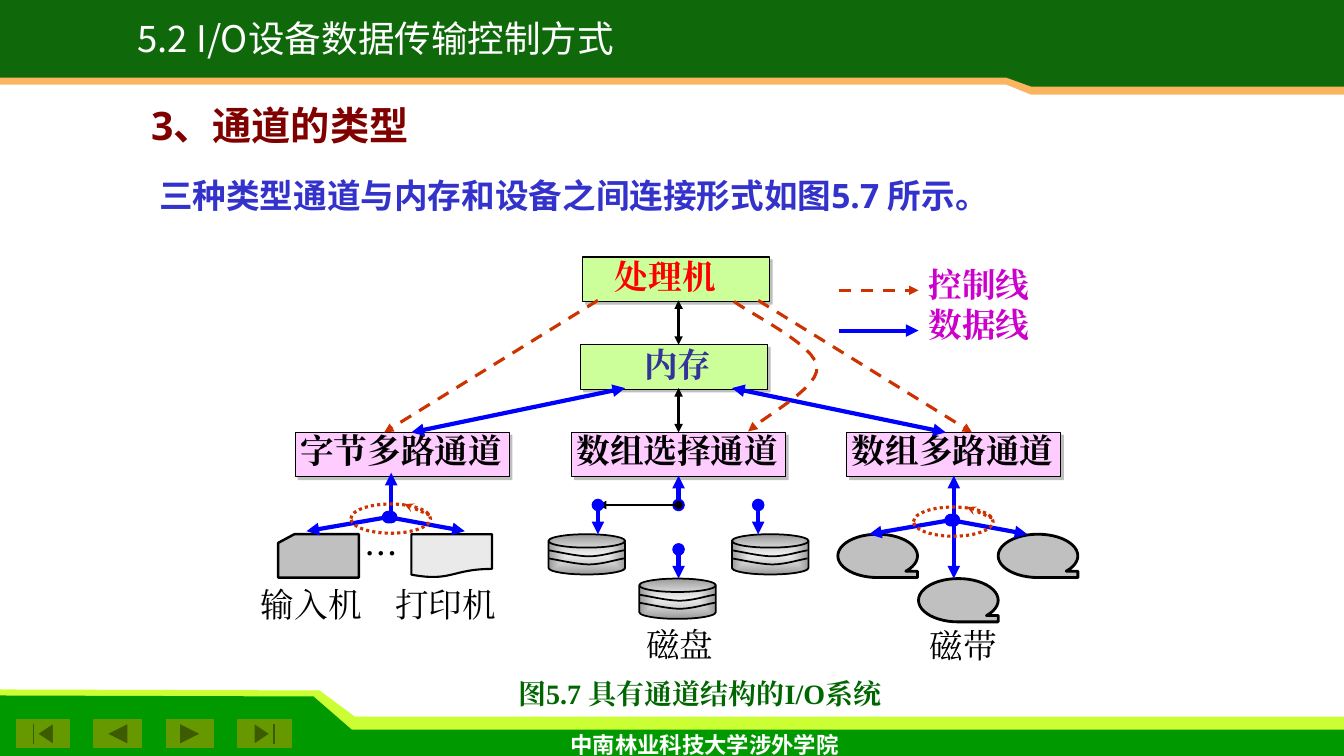
import pptx
import pptx.dml.color
import pptx.enum.dml
import pptx.enum.shapes
import pptx.enum.text
import pptx.oxml
import pptx.util

MSO = pptx.enum.shapes.MSO_SHAPE
ALIGN = pptx.enum.text.PP_ALIGN
ANCHOR = pptx.enum.text.MSO_ANCHOR
DASH = pptx.enum.dml.MSO_LINE
NS = 'xmlns:a="http://schemas.openxmlformats.org/drawingml/2006/main"'
SERIF, SANS, CJK = "Times New Roman", "Open Sans", "Noto Sans CJK SC"
BLACK, BLUE, RUST, GRAY = "000000", "0000FF", "CC3300", "C0C0C0"
SHADOW = (f'<a:outerShdw {NS} dist="35560" dir="2700000"><a:srgbClr val="808080">'
          '<a:alpha val="50000"/></a:srgbClr></a:outerShdw>')
METAL = (f'<a:gradFill {NS}><a:gsLst><a:gs pos="0"><a:srgbClr val="EAEAEA">'
         '<a:alpha val="70000"/></a:srgbClr></a:gs><a:gs pos="100000">'
         '<a:srgbClr val="969696"/></a:gs></a:gsLst><a:path path="shape">'
         '<a:fillToRect l="50000" t="50000" r="50000" b="50000"/></a:path></a:gradFill>')


def cells(n):
    return pptx.util.Inches(n / 10)


def color(value):
    return pptx.dml.color.RGBColor.from_string(value)


def bezier(points, steps=12):
    curve = [points[0]]
    for i in range(0, len(points) - 1, 3):
        for k in range(1, steps + 1):
            t = k / steps
            weights = (1 - t) ** 3, 3 * t * (1 - t) ** 2, 3 * t * t * (1 - t), t ** 3
            curve.append(tuple(sum(w * q[axis] for w, q in zip(weights, points[i:i + 4]))
                               for axis in (0, 1)))
    return curve


class Board:
    """Draws styled elements on one slide, on a grid of 0.1 inch columns and rows."""

    def __init__(self, prs):
        self.slide = prs.slides.add_slide(prs.slide_layouts[5])
        self.shapes = self.slide.shapes

    def stroke(self, sp, hue, width, dash=None, head=None, tail=None):
        sp.line.color.rgb = color(hue)
        sp.line.width = pptx.util.Pt(width)
        if dash:
            sp.line.dash_style = dash
        for tag, end in (("headEnd", head), ("tailEnd", tail)):
            if end:
                sp.line._get_or_add_ln().append(
                    pptx.oxml.parse_xml(f'<a:{tag} {NS} type="{end}"/>'))

    def paint(self, sp, fill, line):
        sp.shadow.inherit = False
        if fill:
            sp.fill.solid()
            sp.fill.fore_color.rgb = color(fill)
        else:
            sp.fill.background()
        if line:
            self.stroke(sp, *line)
        else:
            sp.line.fill.background()
        return sp

    def shape(self, kind, x, y, w, h, fill=None, line=None):
        return self.paint(self.shapes.add_shape(kind, *map(cells, (x, y, w, h))), fill, line)

    def box(self, x, y, w, fill):
        sp = self.shape(MSO.RECTANGLE, x, y, w, 4.4, fill, (BLACK, 0.75))
        sp._element.spPr.find(pptx.oxml.ns.qn("a:effectLst")).append(
            pptx.oxml.parse_xml(SHADOW))

    def outline(self, points, fill=None, line=None):
        points = [(cells(x), cells(y)) for x, y in points]
        fb = self.shapes.build_freeform(*points[0], scale=1.0)
        fb.add_line_segments(points[1:], close=fill is not None)
        return self.paint(fb.convert_to_shape(), fill, line)

    def line(self, start, end, hue=BLUE, width=3, dash=None, head=None, tail="triangle"):
        sp = self.shapes.add_connector(pptx.enum.shapes.MSO_CONNECTOR.STRAIGHT,
                                       *map(cells, (*start, *end)))
        self.stroke(sp, hue, width, dash, head, tail)
        sp._element.spPr.append(pptx.oxml.parse_xml(f"<a:effectLst {NS}/>"))

    def disk(self, x, y):
        sp = self.shape(MSO.FLOWCHART_MAGNETIC_DISK, x, y, 7.6, 4, "EAEAEA", (BLACK, 1.25))
        fill = sp._element.spPr.find(pptx.oxml.ns.qn("a:solidFill"))
        fill.getparent().replace(fill, pptx.oxml.parse_xml(METAL))
        for drop in (1.6, 2.4):
            wave = ((0, 0), (0.7, 0.1), (2.8, 0.6), (4, 0.6), (5.3, 0.6), (6.8, 0.1), (7.5, 0))
            self.outline(bezier([(x + dx, y + drop + dy) for dx, dy in wave]),
                         line=(BLACK, 1.25))

    def fan(self, x, y):
        for start, end in (((0.3, 0), (0.3, -4.4)), ((0, 0), (-8.1, 1.4)), ((0, 0), (7.6, 1.4))):
            self.line((x + start[0], y + start[1]), (x + end[0], y + end[1]), head="oval")
        self.shape(MSO.OVAL, x - 3.7, y - 1.3, 7.9, 2.9, line=(RUST, 2.25, DASH.ROUND_DOT))
        self.line((x + 4.1, y - 0.2), (x + 1.6, y - 1.3), RUST, 2.25, DASH.ROUND_DOT,
                  tail="stealth")

    def text(self, lines, x, y, w, h, size=24, hue=BLACK, font=SERIF, bold=False,
             align=ALIGN.LEFT, spacing=None, wrap=True, anchor=ANCHOR.TOP, sp=None):
        sp = sp or self.shapes.add_textbox(0, 0, 0, 0)
        sp.left, sp.top, sp.width, sp.height = map(cells, (x, y, w, h))
        tf = sp.text_frame
        tf.text = lines
        tf.word_wrap = wrap
        tf.auto_size = pptx.enum.text.MSO_AUTO_SIZE.NONE
        tf.vertical_anchor = anchor
        for p in tf.paragraphs:
            p.alignment = align
            if spacing:
                p.line_spacing = spacing
            p.font.size = pptx.util.Pt(size)
            p.font.bold = bold
            p.font.color.rgb = color(hue)
            p.font.name = font
            p.font._rPr.append(pptx.oxml.parse_xml(f'<a:ea {NS} typeface="{font}"/>'))

    def title(self, words, *place, **style):
        sp = self.shapes.title
        self.shapes._spTree.append(sp._element)
        self.text(words, *place, sp=sp, **style)


prs = pptx.Presentation()
prs.slide_width, prs.slide_height = cells(133.3), cells(75)
board = Board(prs)

board.outline([(0, 74), (133.3, 74), (133.3, 71.1), (35.2, 71.1), (31.7, 68.5), (0, 68.4)],
              "CCFF33")
board.outline([(0, 75), (133.3, 75), (133.3, 72.4), (34.9, 72.4), (31.1, 69.1), (0, 69)],
              "009900")
for kind, x, w in ((MSO.ACTION_BUTTON_BEGINNING, 1.6, 5.3),
                   (MSO.ACTION_BUTTON_BACK_OR_PREVIOUS, 9.3, 4.7),
                   (MSO.ACTION_BUTTON_FORWARD_OR_NEXT, 16.5, 4.7),
                   (MSO.ACTION_BUTTON_END, 23.6, 5.3)):
    board.shape(kind, x, 71.4, w, 2.8, "669900", ("669900", 0.75))
for left, right, hue in ((8.4, 9.4, "FBB561"), (7.7, 8.6, "0F690B")):
    board.outline([(133.3, 0), (0, 0), (0, left), (99.8, left), (102.3, right), (133.3, right)],
                  hue)
board.title("5.2 I/O设备数据传输控制方式 ", 5.4, 1.9, 64.6, 4.6, size=26.1, hue="FFFFFF",
            font=CJK, align=ALIGN.CENTER, spacing=0.8, wrap=False, anchor=ANCHOR.MIDDLE)
board.text("中南林业科技大学涉外学院", 55.6, 72, 29.2, 3.7, 16, "FFFFFF", SANS, True, wrap=False)
board.text("3、通道的类型", 14, 9.6, 48.8, 6.4, 28, "800000", SANS, True)
board.text("三种类型通道与内存和设备之间连接形式如图5.7 所示。", 14.8, 15.3, 87.4, 6.6, 24,
           "3333CC", SANS, True, spacing=1.4)
board.text("图5.7 具有通道结构的I/O系统", 43, 66.6, 52.8, 5.5, 20, "006600", bold=True,
           align=ALIGN.CENTER)

for x, y in ((54.4, 53), (72.6, 53), (63.4, 57.4)):
    board.disk(x, y)
for x, y in ((83.1, 53), (99, 53), (91.1, 57.4)):
    board.shape(MSO.FLOWCHART_SEQUENTIAL_ACCESS_STORAGE, x, y, 7.9, 4.3, GRAY, (BLACK, 2))
board.shape(MSO.FLOWCHART_CARD, 27.6, 53, 8, 4.3, GRAY, (BLACK, 1.75))
board.shape(MSO.FLOWCHART_DOCUMENT, 40.8, 53, 8, 4.3, "EAEAEA", (BLACK, 1.5))

for name, x, y, hue, text_x in (("处理机", 57.8, 25.5, "FF0000", 60),
                                ("内存", 57.6, 34.2, "333399", 62.9)):
    board.box(x, y, 18.5, "CCFF99")
    board.text(name, text_x, y - 0.6, 15.9, 4.3, hue=hue, bold=True)
for name, x in (("字节多路通道", 29.3), ("数组选择通道", 56.7), ("数组多路通道", 84)):
    board.box(x, 42.9, 21.2, "FFCCFF")
    board.text(name, x - 0.5, 42.2, 23.8, 4.3, bold=True)
for name, x, y in (("输入机", 24.9, 57.4), ("打印机", 38.2, 57.4),
                   ("磁盘", 63.1, 61.4), ("磁带", 91.2, 61.5)):
    board.text(name, x, y, 12.7, 4.6)
board.text("…", 35.2, 52.4, 7.1, 5, font=CJK)

board.line((67.3, 50.1), (67.3, 47.2), head="oval")
board.line((67.3, 50.1), (59.3, 50.1), BLACK, 2, head="oval")
for x, y in ((59.3, 50.1), (67.3, 54.5), (75.2, 50.1)):
    board.line((x, y), (x, y + 2.9), head="oval")
board.line((94.6, 51.6), (94.6, 57.4), head="oval")
for x, y in ((38.5, 51.3), (94.3, 51.6)):
    board.fan(x, y)

for y in (29.8, 38.5):
    board.line((67.3, y), (67.3, y + 4.4), BLACK, 2, head="triangle")
for data, control, side in ((62, 59.3, -1), (72.6, 75.2, 1)):
    board.line((data, 38.5), (data + side * 21.2, 42.9), head="triangle")
    board.line((control, 29.8), (control + side * 21.2, 42.9), RUST, 2.25, DASH.DASH)
board.outline(bezier([(72.8, 29.9), (74.2, 31), (80.8, 34.2), (81, 36.3),
                      (81.5, 38.4), (75.6, 41.4), (74.2, 42.8)]),
              line=(RUST, 2.25, DASH.DASH, None, "triangle"))

board.text("控制线\n数据线", 91.1, 25.7, 13.2, 7.3, hue="CC00CC", bold=True)
board.line((83.2, 28.8), (91.1, 28.8), RUST, 2.25, DASH.DASH)
board.line((83.2, 32.8), (91.1, 32.8))

prs.save("out.pptx")
